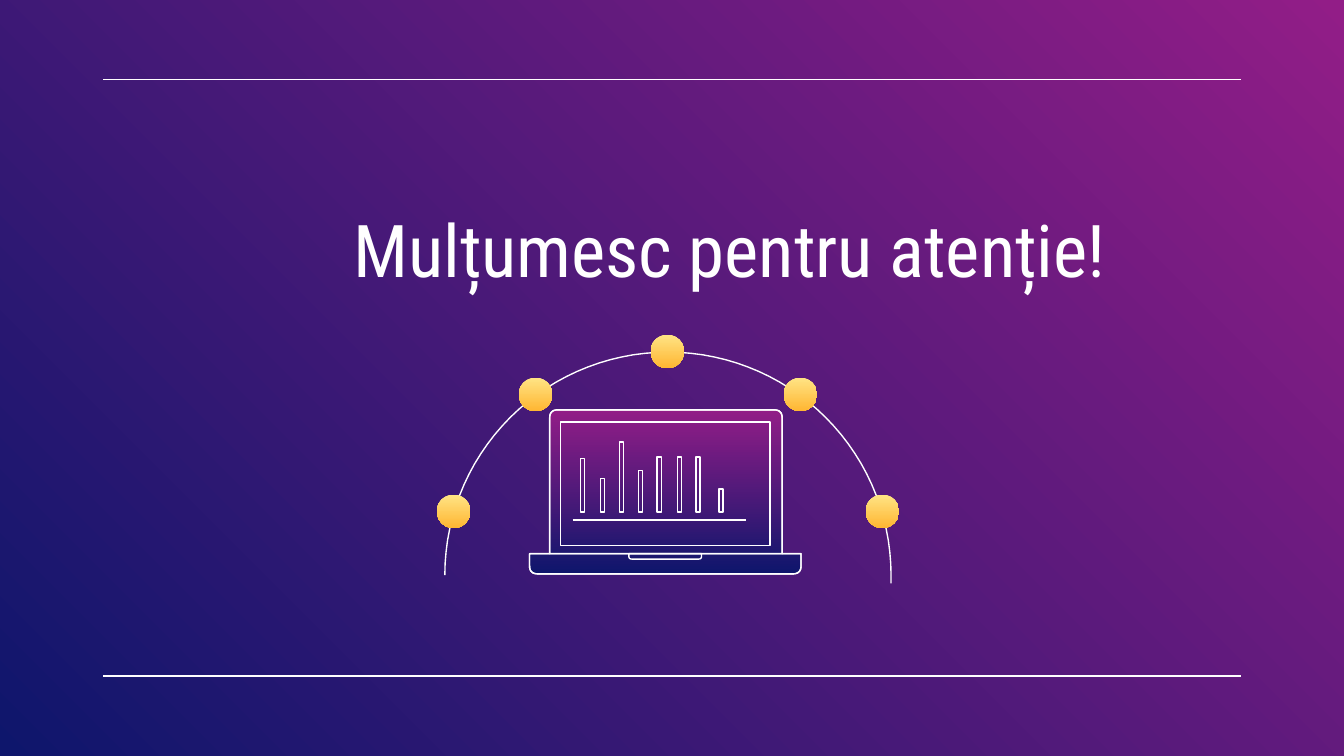
from dataclasses import dataclass
from math import cos, dist, pi, sin

from lxml.etree import SubElement
from pptx import Presentation
from pptx.dml.color import RGBColor
from pptx.enum.shapes import MSO_CONNECTOR, MSO_SHAPE
from pptx.enum.text import MSO_ANCHOR, PP_ALIGN
from pptx.oxml.ns import qn
from pptx.util import Inches, Pt


@dataclass(frozen=True)
class Theme:
    white: RGBColor = RGBColor.from_string("FFFFFF")
    night: tuple = ("921D87", "0E166C")
    gold: tuple = ("FFE485", "FFB632")
    font: str = "Roboto Condensed"
    title_size: Pt = Pt(39)
    stroke: Pt = Pt(0.75)


theme = Theme()


def paint_gradient(fill, colors, angle):
    fill.gradient()
    fill.gradient_angle = angle
    for stop, color in zip(fill.gradient_stops, colors):
        stop.color.rgb = RGBColor.from_string(color)


def draw_outline(shapes, corners, closed=True):
    points = []
    for i, (x, y, radius) in enumerate(corners):
        if not radius:
            points.append((x, y))
            continue
        ends = []
        for nx, ny, _ in (corners[i - 1], corners[(i + 1) % len(corners)]):
            share = radius / dist((x, y), (nx, ny))
            ends.append((x + (nx - x) * share, y + (ny - y) * share))
        (ax, ay), (bx, by) = ends
        for step in range(9):
            t = step / 8
            points.append((
                (1 - t) ** 2 * ax + 2 * t * (1 - t) * x + t ** 2 * bx,
                (1 - t) ** 2 * ay + 2 * t * (1 - t) * y + t ** 2 * by,
            ))
    points = [(Inches(x), Inches(y)) for x, y in points]
    builder = shapes.build_freeform(*points[0])
    builder.add_line_segments(points[1:], close=closed)
    outline = builder.convert_to_shape()
    outline.shadow.inherit = False
    outline.fill.background()
    outline.line.color.rgb = theme.white
    outline.line.width = theme.stroke
    return outline


prs = Presentation()
prs.slide_width = Inches(10)
prs.slide_height = prs.slide_width * 9 // 16
slide = prs.slides.add_slide(prs.slide_layouts[6])
paint_gradient(slide.background.fill, theme.night, 225)

rules = [
    slide.shapes.add_connector(
        MSO_CONNECTOR.STRAIGHT, Inches(0.77), Inches(y), Inches(9.23), Inches(y)
    )
    for y in (0.59, 5.03)
]

title = slide.shapes.add_textbox(Inches(2.53), Inches(1.42), Inches(8.43), Inches(0.63))
frame = title.text_frame
frame.word_wrap = True
frame.vertical_anchor = MSO_ANCHOR.TOP
frame.margin_left = frame.margin_right = Inches(0.1)
frame.margin_top = frame.margin_bottom = Inches(0.1)
frame.text = "Mulțumesc pentru atenție!"
frame.paragraphs[0].alignment = PP_ALIGN.LEFT
thanks = frame.paragraphs[0].runs[0].font
thanks.name = theme.font
thanks.size = theme.title_size
thanks.color.rgb = theme.white

arc = [(6.63, 4.34, 0)]
for step in range(61):
    angle = pi * step / 60
    arc.append((4.97 + 1.66 * cos(angle), 4.28 - 1.66 * sin(angle), 0))
draw_outline(slide.shapes, arc, closed=False)

for x, y in ((3.25, 3.68), (3.86, 2.81), (4.84, 2.49), (5.83, 2.81), (6.44, 3.68)):
    dot = slide.shapes.add_shape(
        MSO_SHAPE.OVAL, Inches(x), Inches(y), Inches(0.25), Inches(0.25)
    )
    dot.shadow.inherit = False
    dot.line.fill.background()
    paint_gradient(dot.fill, theme.gold, 270)

laptop = slide.shapes.add_group_shape().shapes
lid = [(4.09, 4.12, 0), (4.09, 3.05, 0.06), (5.82, 3.05, 0.06), (5.82, 4.12, 0)]
base = [(5.96, 4.12, 0), (5.96, 4.27, 0.06), (3.94, 4.27, 0.06), (3.94, 4.12, 0)]
display = [(4.17, 3.14, 0), (5.73, 3.14, 0), (5.73, 4.06, 0), (4.17, 4.06, 0)]
notch = [(4.68, 4.12, 0), (5.22, 4.12, 0), (5.22, 4.16, 0.02), (4.68, 4.16, 0.02)]

body = draw_outline(laptop, lid + base)
paint_gradient(body.fill, theme.night, 270)
for part in (lid, display, base, notch):
    draw_outline(laptop, part)

bars = (
    (4.32, 3.41), (4.47, 3.56), (4.61, 3.29), (4.75, 3.5),
    (4.89, 3.4), (5.04, 3.4), (5.18, 3.4), (5.35, 3.64),
)
for x, top in bars:
    draw_outline(
        laptop,
        [(x, 3.81, 0), (x, top, 0), (x + 0.03, top, 0), (x + 0.03, 3.81, 0)],
    )

rules.append(laptop.add_connector(
    MSO_CONNECTOR.STRAIGHT, Inches(4.26), Inches(3.87), Inches(5.55), Inches(3.87)
))
for rule in rules:
    rule.line.color.rgb = theme.white
    rule.line.width = theme.stroke
    SubElement(rule._element.spPr, qn("a:effectLst"))

prs.save("out.pptx")
